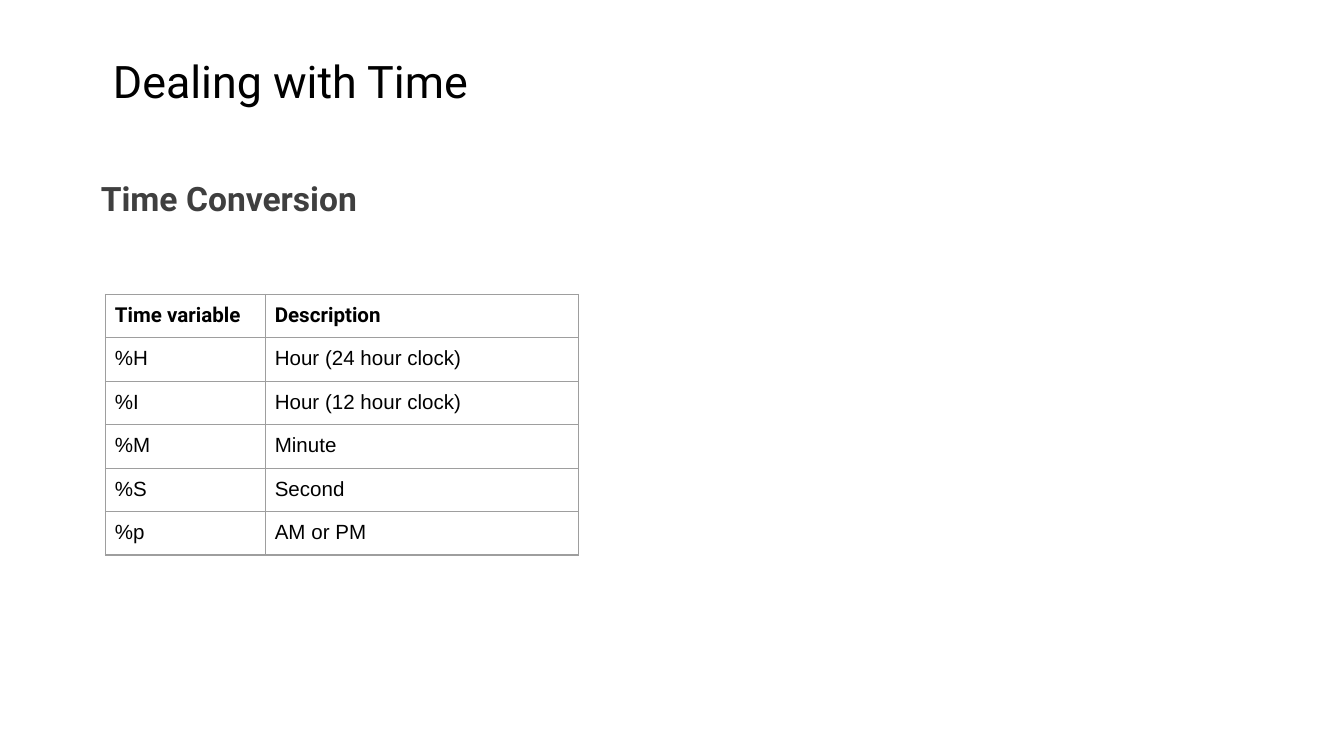
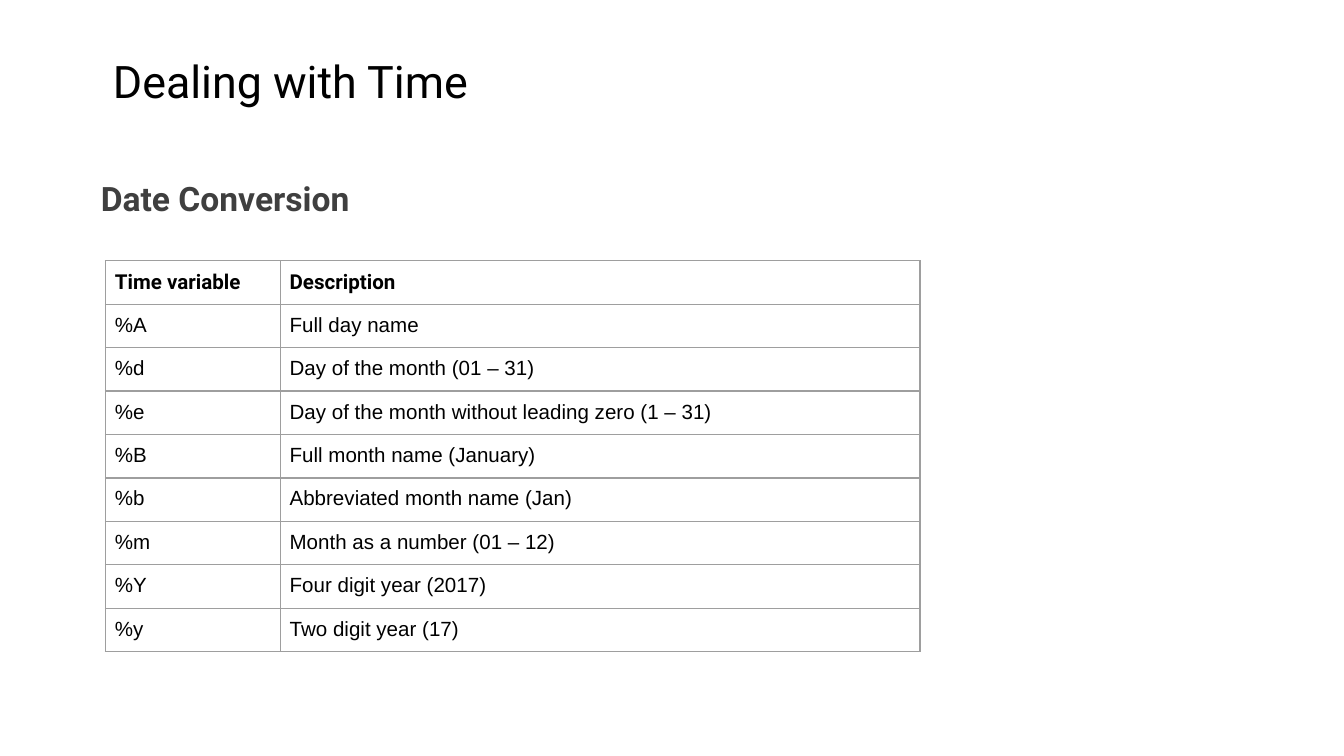
from lxml import etree
from pptx import Presentation
from pptx.dml.color import RGBColor
from pptx.enum.text import MSO_ANCHOR
from pptx.oxml.ns import qn
from pptx.util import Pt

PX = 4572
TOP, MIDDLE = MSO_ANCHOR.TOP, MSO_ANCHOR.MIDDLE
BLACK, GRAY, RULE = "000000", "3F3F3F", "9E9E9E"
HEAD, BODY = "Roboto", "Arial"
PAD, ROW = 14, 62
TITLE = "Dealing with Time"
LABELS = ("Time variable", "Description")
TIMES = [
    ("%H", "Hour (24 hour clock)"),
    ("%I", "Hour (12 hour clock)"),
    ("%M", "Minute"),
    ("%S", "Second"),
    ("%p", "AM or PM"),
]
DATES = [
    ("%A", "Full day name"),
    ("%d", "Day of the month (01 – 31)"),
    ("%e", "Day of the month without leading zero (1 – 31)"),
    ("%B", "Full month name (January)"),
    ("%b", "Abbreviated month name (Jan)"),
    ("%m", "Month as a number (01 – 12)"),
    ("%Y", "Four digit year (2017)"),
    ("%y", "Two digit year (17)"),
]


def px(*nums):
    """Turn px lengths into EMU."""
    return [num * PX for num in nums]


def color(code):
    """Turn a hex string into a colour."""
    return RGBColor.from_string(code)


def style(para, size, face, code, bold=False):
    """Format the runs of a paragraph."""
    for run in para.runs:
        font = run.font
        font.size, font.name, font.bold = Pt(size), face, bold
        font.color.rgb = color(code)


def add_text(slide, box, text, size, code, bold=False, anchor=TOP):
    """Add one line of heading text in a box."""
    frame = slide.shapes.add_textbox(*px(*box)).text_frame
    frame.word_wrap = True
    frame.vertical_anchor = anchor
    frame.margin_left, frame.margin_right = px(PAD, PAD)
    frame.margin_top, frame.margin_bottom = px(8, 8)
    frame.text = text
    para = frame.paragraphs[0]
    para.line_spacing = 0.9
    style(para, size, HEAD, code, bold)


def add_rules(cell):
    """Draw thin lines on all four sides of a cell."""
    props = cell._tc.get_or_add_tcPr()
    for spot, side in enumerate(("lnL", "lnR", "lnT", "lnB")):
        line = etree.Element(qn(f"a:{side}"), w=str(Pt(0.75)))
        fill = etree.SubElement(line, qn("a:solidFill"))
        etree.SubElement(fill, qn("a:srgbClr"), val=RULE)
        props.insert(spot, line)


def fill_cell(cell, text, face, bold):
    """Write and format one table cell."""
    cell.fill.background()
    cell.margin_left, cell.margin_right = px(PAD, PAD)
    cell.margin_top, cell.margin_bottom = px(PAD, PAD)
    cell.text = text
    style(cell.text_frame.paragraphs[0], 11, face, BLACK, bold)
    add_rules(cell)


def add_grid(slide, top, widths, rows):
    """Add a table with a bold header row."""
    lines = [LABELS, *rows]
    box = px(157, top, sum(widths), ROW * len(lines))
    table = slide.shapes.add_table(len(lines), len(widths), *box).table
    table.first_row = table.horz_banding = False
    for col, width in zip(table.columns, px(*widths)):
        col.width = width
    for r, line in enumerate(lines):
        table.rows[r].height = ROW * PX
        for c, text in enumerate(line):
            fill_cell(table.cell(r, c), text, BODY if r else HEAD, r == 0)


def add_page(deck, topic, top, widths, rows):
    """Add a slide with title, topic and table."""
    slide = deck.slides.add_slide(deck.slide_layouts[6])
    add_text(slide, (136, 264, 1724, 178), topic, 18, GRAY, bold=True)
    add_grid(slide, top, widths, rows)
    add_text(slide, (154, 69, 992, 112), TITLE, 24, BLACK, anchor=MIDDLE)


def main():
    """Build and save the deck."""
    deck = Presentation()
    deck.slide_width, deck.slide_height = px(2000, 1125)
    add_page(deck, "Time Conversion", 438, (238, 466), TIMES)
    add_page(deck, "Date Conversion", 388, (260, 952), DATES)
    deck.save("out.pptx")


if __name__ == "__main__":
    main()
